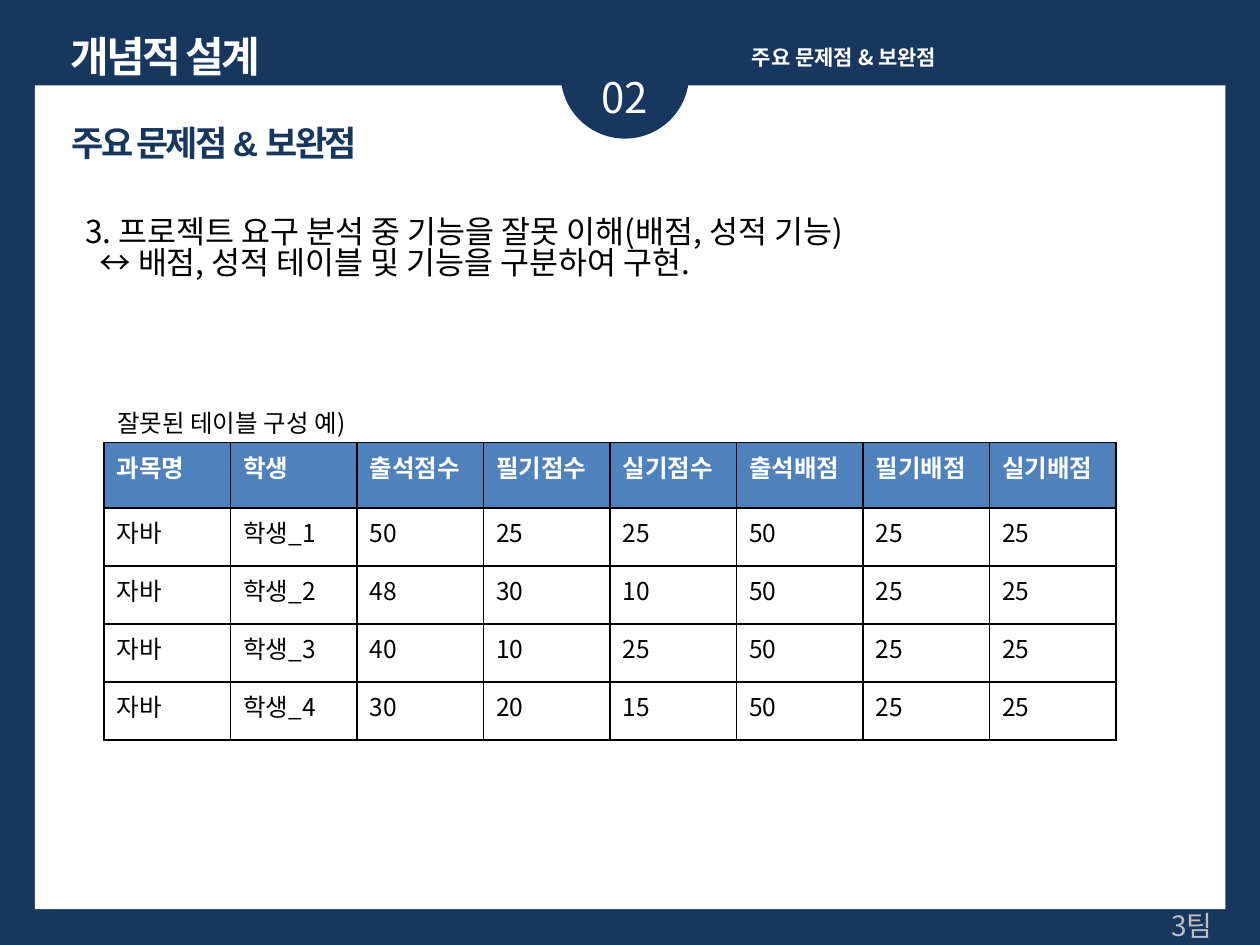
from pptx import Presentation
from pptx.dml.color import RGBColor
from pptx.enum.shapes import MSO_SHAPE
from pptx.enum.text import MSO_ANCHOR, PP_ALIGN
from pptx.oxml.ns import qn
from pptx.util import Pt
from lxml import etree

RECT, OVAL = MSO_SHAPE.RECTANGLE, MSO_SHAPE.OVAL
TOP, MID = MSO_ANCHOR.TOP, MSO_ANCHOR.MIDDLE
LEFT, MIDDLE, RIGHT = PP_ALIGN.LEFT, PP_ALIGN.CENTER, PP_ALIGN.RIGHT

NAVY = RGBColor(0x17, 0x37, 0x5E)
BLUE = RGBColor(0x4F, 0x81, 0xBD)
WHITE = RGBColor(0xFF, 0xFF, 0xFF)
BLACK = RGBColor(0x00, 0x00, 0x00)
GRAY = RGBColor(0xBF, 0xBF, 0xBF)

FONT = "Noto Sans CJK KR"
TOPIC = "주요 문제점 & 보완점"
HEAD = ["과목명", "학생", "출석점수", "필기점수", "실기점수",
        "출석배점", "필기배점", "실기배점"]
SCORES = [(50, 25, 25), (48, 30, 10), (40, 10, 25), (30, 20, 15)]
LIMITS = (50, 25, 25)


def box(place):
    """Turn a place in points into lengths."""
    return [Pt(v) for v in place]


def add_run(para, text, size, color, bold=False, font=FONT, track=0):
    """Add one styled run to a paragraph."""
    run = para.add_run()
    run.text = text
    run.font.size = Pt(size)
    run.font.bold = bold
    run.font.name = font
    run.font.color.rgb = color
    props = run.font._element
    etree.SubElement(props, qn("a:ea")).set("typeface", FONT)
    if track:
        props.set("spc", str(round(track * 100)))


def add_area(slide, kind, place, color):
    """Add a plain filled shape."""
    area = slide.shapes.add_shape(kind, *box(place))
    area.shadow.inherit = False
    area.fill.solid()
    area.fill.fore_color.rgb = color
    area.line.fill.background()


def add_frame(slide, place, anchor=MID):
    """Add an empty wrapped text box and return its frame."""
    frame = slide.shapes.add_textbox(*box(place)).text_frame
    frame.word_wrap = True
    frame.vertical_anchor = anchor
    return frame


def add_label(slide, place, text, size, color, align=LEFT, **style):
    """Add a text box with one line."""
    para = add_frame(slide, place).paragraphs[0]
    para.alignment = align
    add_run(para, text, size, color, **style)


def add_body(slide, place, lines):
    """Add body lines, each one step further in."""
    frame = add_frame(slide, place, TOP)
    for i, text in enumerate(lines):
        para = frame.add_paragraph() if i else frame.paragraphs[0]
        para.line_spacing = 0.83
        para._p.get_or_add_pPr().set("marL", str(Pt(8 * (i + 1))))
        add_run(para, text, 18, BLACK)


def set_edges(cell):
    """Draw a thin black line on all sides of a cell."""
    props = cell._tc.get_or_add_tcPr()
    for i, side in enumerate(("a:lnL", "a:lnR", "a:lnT", "a:lnB")):
        line = etree.Element(qn(side), w=str(Pt(1)))
        fill = etree.SubElement(line, qn("a:solidFill"))
        etree.SubElement(fill, qn("a:srgbClr")).set("val", str(BLACK))
        props.insert(i, line)


def add_grid(slide, place, rows, head):
    """Add a table with a blue head row of the given height."""
    count = len(rows)
    table = slide.shapes.add_table(count, len(rows[0]), *box(place)).table
    rest = (place[3] - head) / (count - 1)
    for r, row in enumerate(rows):
        table.rows[r].height = Pt(rest if r else head)
        for c, text in enumerate(row):
            cell = table.cell(r, c)
            cell.fill.solid()
            cell.fill.fore_color.rgb = WHITE if r else BLUE
            set_edges(cell)
            add_run(cell.text_frame.paragraphs[0], str(text), 14,
                    BLACK if r else WHITE, bold=not r)


def main():
    """Build the slide and save it."""
    deck = Presentation()
    deck.slide_width, deck.slide_height = Pt(720), Pt(540)
    slide = deck.slides.add_slide(deck.slide_layouts[6])
    back = slide.background.fill
    back.solid()
    back.fore_color.rgb = NAVY

    add_area(slide, RECT, (20, 48.8, 680.2, 470.7), WHITE)
    add_area(slide, OVAL, (320.4, 5.8, 73.4, 73.4), NAVY)

    add_label(slide, (22.3, 14.4, 144.7, 35.3), "개념적 설계", 24, WHITE,
              MIDDLE, bold=True, track=-1.5)
    add_label(slide, (314.6, 37.4, 85, 36), "02", 24, WHITE, MIDDLE)
    add_label(slide, (563.8, 515.5, 136, 26.6), "3팀", 16, GRAY, RIGHT)
    add_label(slide, (422.6, 21.6, 283.7, 21.6), TOPIC, 12, WHITE, bold=True)
    add_label(slide, (33.8, 66.2, 218.9, 31), TOPIC, 20, NAVY,
              bold=True, font="Arial", track=-1.5)
    add_body(slide, (33.8, 121, 595.4, 51), [
        "3. 프로젝트 요구 분석 중 기능을 잘못 이해(배점, 성적 기능)",
        "↔ 배점, 성적 테이블 및 기능을 구분하여 구현."])

    rows = [HEAD] + [("자바", f"학생_{n}", *score, *LIMITS)
                     for n, score in enumerate(SCORES, 1)]
    add_grid(slide, (59.5, 252.8, 578.4, 170.2), rows, 37.4)
    add_label(slide, (59.8, 229.7, 209.5, 23.8), "잘못된 테이블 구성 예)",
              14, BLACK)
    deck.save("out.pptx")


main()
